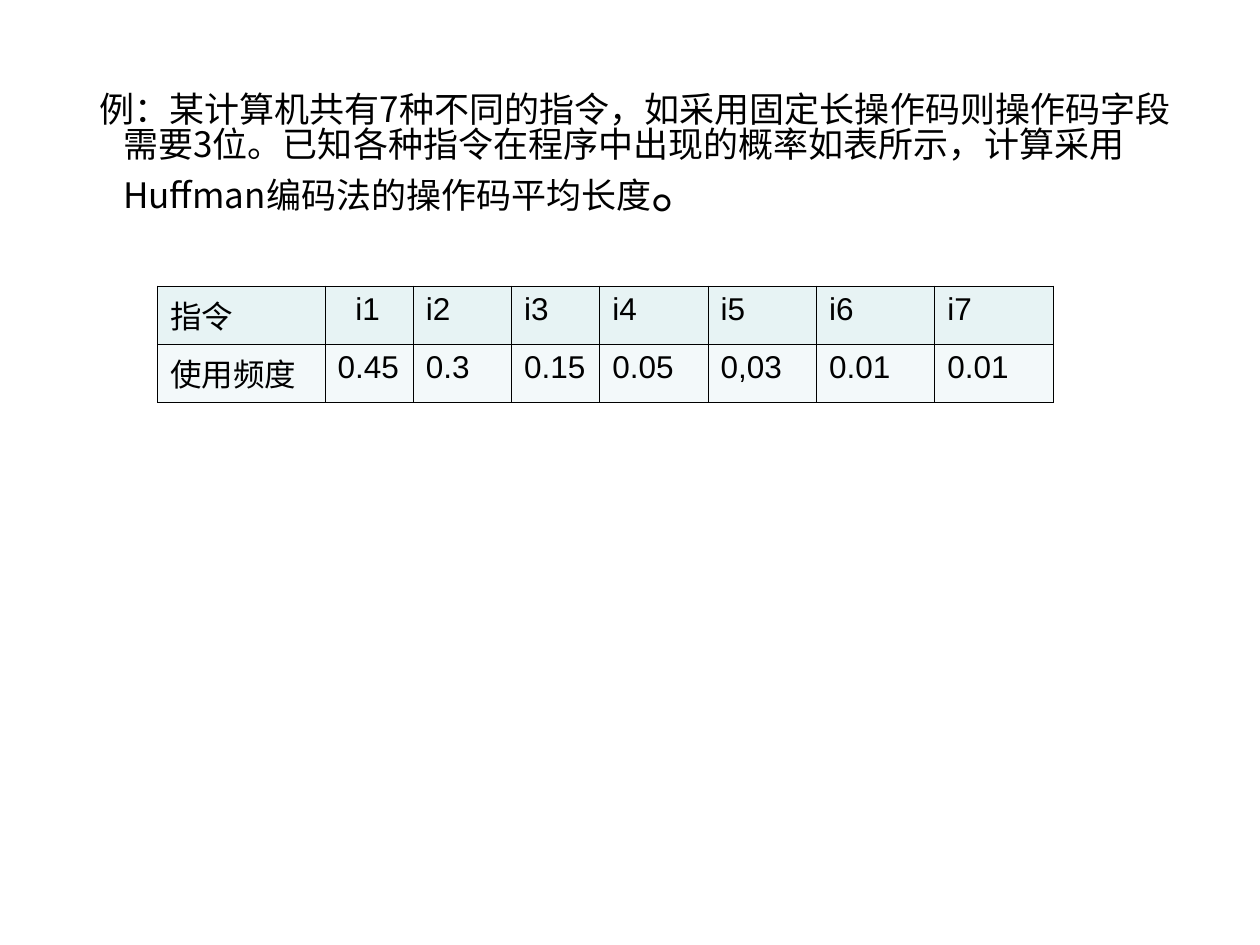
from lxml import etree
from pptx import Presentation
from pptx.dml.color import RGBColor
from pptx.oxml.ns import qn
from pptx.util import Inches, Pt

LATIN, CJK = "Arial", "Noto Sans CJK SC"
BLACK = RGBColor(0x00, 0x00, 0x00)
ROW_FILLS = [RGBColor(0xE7, 0xF3, 0xF4), RGBColor(0xF3, 0xF9, 0xFA)]

# Content: (text, size, font) runs of the problem, then the frequency table
PROBLEM = [
    ("例：某计算机共有7种不同的指令，如采用固定长操作码则操作码字段需要3位。"
     "已知各种指令在程序中出现的概率如表所示，计算采用Huffman编码法的操作码平均长度", 20, CJK),
    ("。", 32, LATIN),
]
ROWS = [
    ["指令", "i1", "i2", "i3", "i4", "i5", "i6", "i7"],
    ["使用频度", "0.45", "0.3", "0.15", "0.05", "0,03", "0.01", "0.01"],
]
COL_WIDTHS = [1.33, 0.7, 0.78, 0.7, 0.86, 0.86, 0.94, 0.94]
ROW_HEIGHT = 0.46


def add_run(p, content, size, font):
    r = p.add_run()
    r.text = content
    r.font.size, r.font.name = Pt(size), font
    r.font.color.rgb = BLACK
    ea = etree.SubElement(r.font._element, qn("a:ea"))
    ea.set("typeface", CJK)


def add_borders(cell, width=0.45):
    tc_pr = cell._tc.get_or_add_tcPr()
    for i, side in enumerate(("lnL", "lnR", "lnT", "lnB")):
        ln = etree.Element(qn(f"a:{side}"), w=str(Pt(width)))
        fill = etree.SubElement(ln, qn("a:solidFill"))
        etree.SubElement(fill, qn("a:srgbClr"), val=str(BLACK))
        tc_pr.insert(i, ln)


prs = Presentation()
prs.slide_width, prs.slide_height = Inches(10), Inches(7.5)
s = prs.slides.add_slide(prs.slide_layouts[6])

# Problem statement with a hanging indent
tf = s.shapes.add_textbox(Inches(0.5), Inches(0.7), Inches(9), Inches(6)).text_frame
tf.word_wrap = True
p = tf.paragraphs[0]
p.line_spacing = 0.83
p_pr = p._p.get_or_add_pPr()
p_pr.set("marL", str(Inches(0.38)))
p_pr.set("indent", str(Inches(-0.19)))
for content, size, font in PROBLEM:
    add_run(p, content, size, font)

# Frequency table
table = s.shapes.add_table(
    len(ROWS), len(COL_WIDTHS), Inches(1.25), Inches(2.27),
    Inches(sum(COL_WIDTHS)), Inches(ROW_HEIGHT * len(ROWS))).table
for column, width in zip(table.columns, COL_WIDTHS):
    column.width = Inches(width)
for i, (values, color) in enumerate(zip(ROWS, ROW_FILLS)):
    table.rows[i].height = Inches(ROW_HEIGHT)
    for j, value in enumerate(values):
        cell = table.cell(i, j)
        cell.fill.solid()
        cell.fill.fore_color.rgb = color
        add_borders(cell)
        add_run(cell.text_frame.paragraphs[0], value, 18, LATIN)
table.cell(0, 1).margin_left = Inches(0.24)

prs.save("out.pptx")
